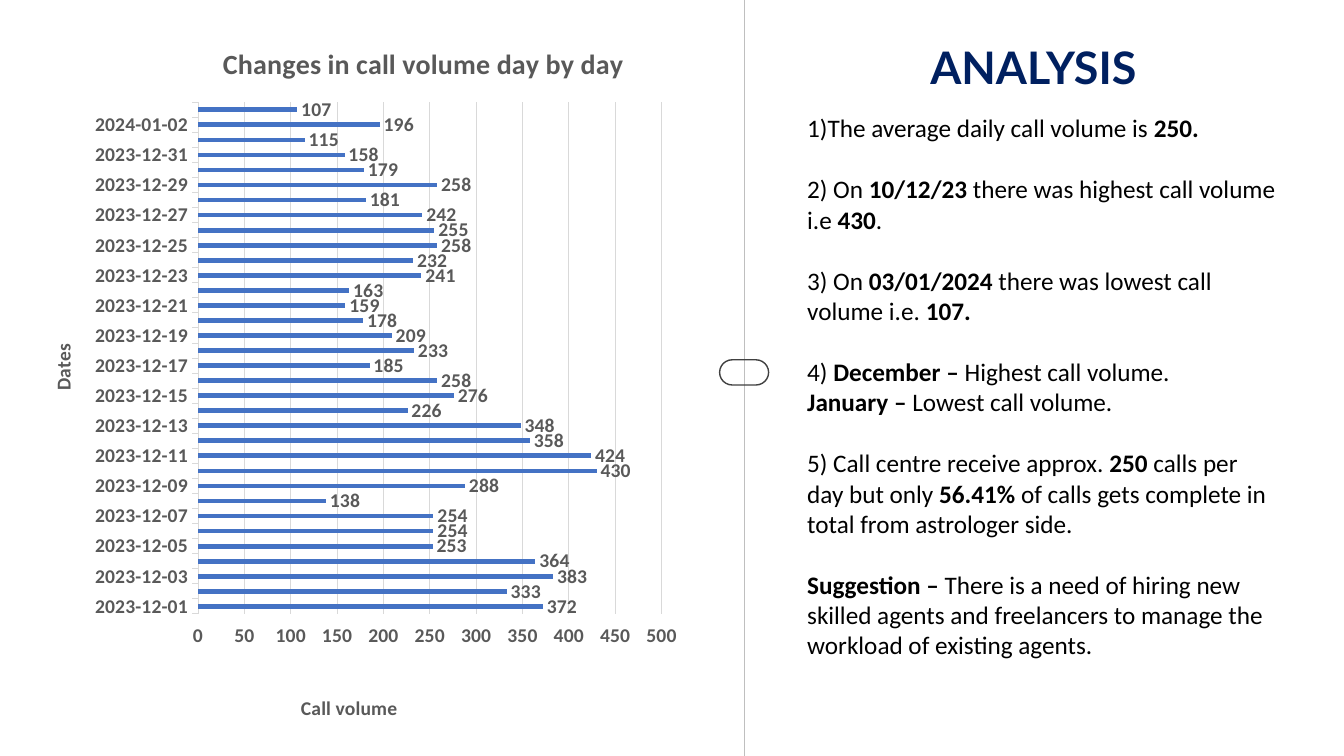
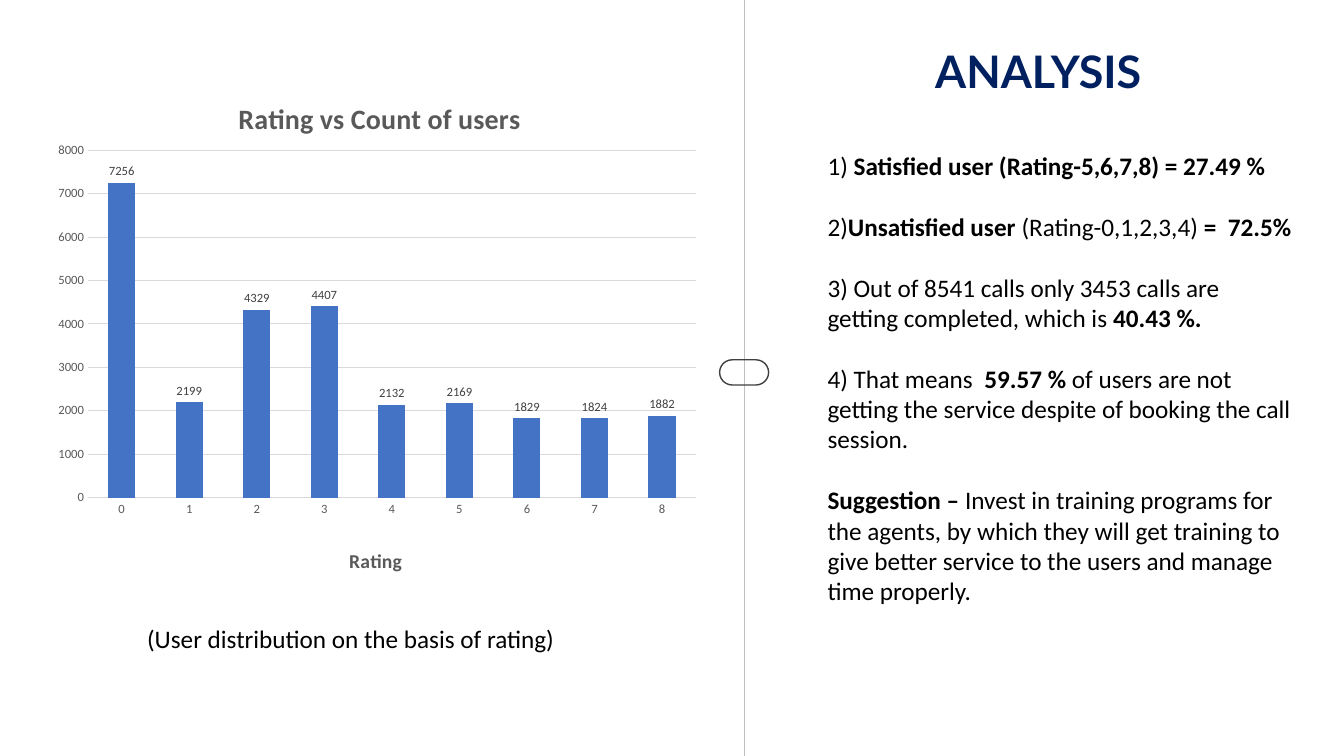
from lxml import etree
from pptx import Presentation
from pptx.chart.data import CategoryChartData
from pptx.dml.color import RGBColor
from pptx.enum.chart import XL_CHART_TYPE, XL_LABEL_POSITION, XL_TICK_MARK
from pptx.enum.shapes import MSO_CONNECTOR, MSO_SHAPE
from pptx.enum.text import MSO_ANCHOR, MSO_AUTO_SIZE, PP_ALIGN
from pptx.oxml.ns import qn
from pptx.util import Pt

BAR = XL_CHART_TYPE.BAR_CLUSTERED
COLUMN = XL_CHART_TYPE.COLUMN_CLUSTERED
OUTSIDE_END = XL_LABEL_POSITION.OUTSIDE_END
TICK_NONE, TICK_OUT = XL_TICK_MARK.NONE, XL_TICK_MARK.OUTSIDE
STRAIGHT = MSO_CONNECTOR.STRAIGHT
ROUNDED = MSO_SHAPE.ROUNDED_RECTANGLE
LEFT, TOP = PP_ALIGN.LEFT, MSO_ANCHOR.TOP
NO_AUTOFIT = MSO_AUTO_SIZE.NONE

NAVY, BLACK, BLUE = "002060", "000000", "4472C4"
GREY, DARK, RULE, GRID = "595959", "404040", "BFBFBF", "D9D9D9"
BODY_FONT, TITLE_FONT = "Calibri", "Lato"
BLANK_LINE = 22


def color(hex_string):
    return RGBColor.from_string(hex_string)


def write_text(frame, text, size=18, fill=BLACK, font=BODY_FONT, bold=False,
               align=None, line_spacing=None, gap=0):
    """Fill a frame; ** switches bold, a new line starts a paragraph,
    and an empty line between blocks becomes spacing of size gap."""
    paragraph = None
    for block in text.split("\n\n"):
        for index, line in enumerate(block.split("\n")):
            first = paragraph is None
            paragraph = frame.paragraphs[0] if first else frame.add_paragraph()
            if align is not None:
                paragraph.alignment = align
            if line_spacing:
                paragraph.line_spacing = Pt(line_spacing)
            if index == 0 and not first:
                paragraph.space_before = Pt(gap)
            for part_index, part in enumerate(line.split("**")):
                if part:
                    run = paragraph.add_run()
                    run.text = part
                    run.font.size = Pt(size)
                    run.font.name = font
                    run.font.bold = bold or part_index % 2 == 1
                    run.font.color.rgb = color(fill)


# Contents: boxes are left, top, width, height in points;
# layouts are fractions of the chart area
dates = [f"2023-12-{day:02}" for day in range(1, 32)]
dates += [f"2024-01-{day:02}" for day in range(1, 4)]

pages = [
    {
        "title_at": (664.5, 26.5),
        "body_box": (569.5, 77, 351.5, 422),
        "body": """1)The average daily call volume is **250.**

2) On **10/12/23** there was highest call volume i.e **430**.

3) On **03/01/2024** there was lowest call volume i.e. **107.**

4)** December –** Highest call volume.
**January –** Lowest call volume.

5) Call centre receive approx.** 250 **calls per day but only **56.41% **of calls gets complete in total from astrologer side.

**Suggestion – **There is a need of hiring new skilled agents and freelancers to manage the workload of existing agents.""",
        "chart_box": (18.5, 13, 473, 506),
        "type": BAR,
        "categories": dates,
        "values": [372, 333, 383, 364, 253, 254, 254, 138, 288, 430, 424, 358,
                   348, 226, 276, 258, 185, 233, 209, 178, 159, 163, 241, 232,
                   258, 255, 242, 181, 258, 179, 158, 115, 196, 107],
        "chart_title": "Changes in call volume day by day",
        "category_title": "Dates",
        "value_title": "Call volume",
        "title_layouts": [(0.29, 0.03), (0.03, 0.46), (0.41, 0.96)],
        "plot_layout": (0.26, 0.12, 0.7, 0.73),
        "scale": (500, 50),
        "gap_width": 219,
        "size": 14, "bold": True, "label_color": GREY,
        "tick": TICK_OUT, "axis_line": True,
        "caption": None,
    },
    {
        "title_at": (668, 29.5),
        "body_box": (584, 103.5, 347, 356),
        "body": """1) **Satisfied user (Rating-5,6,7,8) = 27.49 %**

2)**Unsatisfied user **(Rating-0,1,2,3,4)** =  72.5%**

3) Out of 8541 calls only 3453 calls are getting completed, which is **40.43 %.**

4) That means  **59.57 % **of users are not getting the service despite of booking the call session.

**Suggestion – **Invest in training programs for the agents, by which they will get training to give better service to the users and manage time properly.""",
        "chart_box": (34.5, 49, 472, 365),
        "type": COLUMN,
        "categories": [str(rating) for rating in range(9)],
        "values": [7256, 2199, 4329, 4407, 2132, 2169, 1829, 1824, 1882],
        "chart_title": "Rating vs Count of users",
        "category_title": "Rating",
        "value_title": None,
        "title_layouts": [(0.28, 0.05), (0.45, 0.93)],
        "plot_layout": (0.06, 0.16, 0.92, 0.68),
        "scale": (8000, 1000),
        "gap_width": 150,
        "size": 9, "bold": False, "label_color": DARK,
        "tick": TICK_NONE, "axis_line": False,
        "caption": "(User distribution on the basis of rating)",
    },
]

presentation = Presentation()
presentation.slide_width, presentation.slide_height = Pt(960), Pt(540)

for page in pages:
    slide = presentation.slides.add_slide(presentation.slide_layouts[5])

    # Title
    title = slide.shapes.title
    title.left, title.top = map(Pt, page["title_at"])
    title.width, title.height = Pt(218), Pt(37.5)
    frame = title.text_frame
    frame.margin_left = frame.margin_right = 0
    frame.margin_top = frame.margin_bottom = 0
    frame.vertical_anchor, frame.auto_size = TOP, NO_AUTOFIT
    write_text(frame, "ANALYSIS", size=32, fill=NAVY, font=TITLE_FONT,
               bold=True, align=LEFT, line_spacing=40)

    # Divider with its pill
    divider = slide.shapes.add_connector(STRAIGHT, Pt(531.5), 0, Pt(531.5), Pt(540))
    divider.line.color.rgb = color(RULE)
    divider.line.width = Pt(0.5)
    etree.SubElement(divider.element.spPr, qn("a:effectLst"))
    pill = slide.shapes.add_shape(ROUNDED, Pt(514), Pt(257), Pt(35), Pt(18))
    pill.adjustments[0] = 0.5
    pill.shadow.inherit = False
    pill.fill.background()
    pill.line.color.rgb = color(DARK)
    pill.line.width = Pt(1)

    # Findings and caption
    texts = [(page["body_box"], page["body"])]
    if page["caption"]:
        texts.append(((98, 441.5, 353, 29), page["caption"]))
    for box, text in texts:
        text_box = slide.shapes.add_textbox(*map(Pt, box))
        text_box.text_frame.word_wrap = True
        write_text(text_box.text_frame, text, gap=BLANK_LINE)

    # Chart and its series
    chart_data = CategoryChartData(number_format="0")
    chart_data.categories = page["categories"]
    chart_data.add_series("Series 1", page["values"])
    chart = slide.shapes.add_chart(
        page["type"], *map(Pt, page["chart_box"]), chart_data).chart
    chart.has_legend = False
    chart.font.name = BODY_FONT
    chart.font.size = Pt(page["size"])
    chart.font.bold = page["bold"]
    chart.font.color.rgb = color(GREY)
    plot = chart.plots[0]
    plot.gap_width = page["gap_width"]
    plot.vary_by_categories = False
    series_fill = plot.series[0].format.fill
    series_fill.solid()
    series_fill.fore_color.rgb = color(BLUE)
    plot.has_data_labels = True
    labels = plot.data_labels
    labels.show_value = True
    labels.position = OUTSIDE_END
    labels.font.name = BODY_FONT
    labels.font.size = Pt(page["size"])
    labels.font.bold = page["bold"]
    labels.font.color.rgb = color(page["label_color"])

    # Axes
    category_axis, value_axis = chart.category_axis, chart.value_axis
    value_axis.minimum_scale = 0
    value_axis.maximum_scale, value_axis.major_unit = page["scale"]
    for axis in (category_axis, value_axis):
        axis.major_tick_mark = page["tick"]
        axis.format.line.fill.background()
    if page["axis_line"]:
        category_axis.format.line.color.rgb = color(GRID)
        category_axis.format.line.width = Pt(0.75)
    grid_line = value_axis.major_gridlines.format.line
    grid_line.color.rgb = color(GRID)
    grid_line.width = Pt(0.75)

    # Chart and axis titles
    chart.has_title = True
    write_text(chart.chart_title.text_frame, page["chart_title"], size=20,
               fill=GREY, bold=True)
    for axis, text in ((category_axis, page["category_title"]),
                       (value_axis, page["value_title"])):
        if text:
            axis.has_title = True
            write_text(axis.axis_title.text_frame, text, size=14, fill=GREY,
                       bold=True)

    # Placement of the titles and the plot area
    titles = chart.element.xpath(".//c:title")
    if page["type"] == BAR:
        titles[1].xpath(".//a:bodyPr")[0].set("rot", "-5400000")
    plot_area = chart.element.xpath(".//c:plotArea")[0]
    placed = list(zip(titles, page["title_layouts"]))
    placed.append((plot_area, page["plot_layout"]))
    for element, position in placed:
        layout = element.find(qn("c:layout"))
        if layout is None:
            layout = etree.Element(qn("c:layout"))
            element.insert(0 if element is plot_area else 1, layout)
        for child in list(layout):
            layout.remove(child)
        manual = etree.SubElement(layout, qn("c:manualLayout"))
        settings = [("xMode", "edge"), ("yMode", "edge")]
        if element is plot_area:
            settings.insert(0, ("layoutTarget", "inner"))
        settings += zip("xywh", map(str, position))
        for name, value in settings:
            etree.SubElement(manual, qn(f"c:{name}")).set("val", value)

presentation.save("out.pptx")
